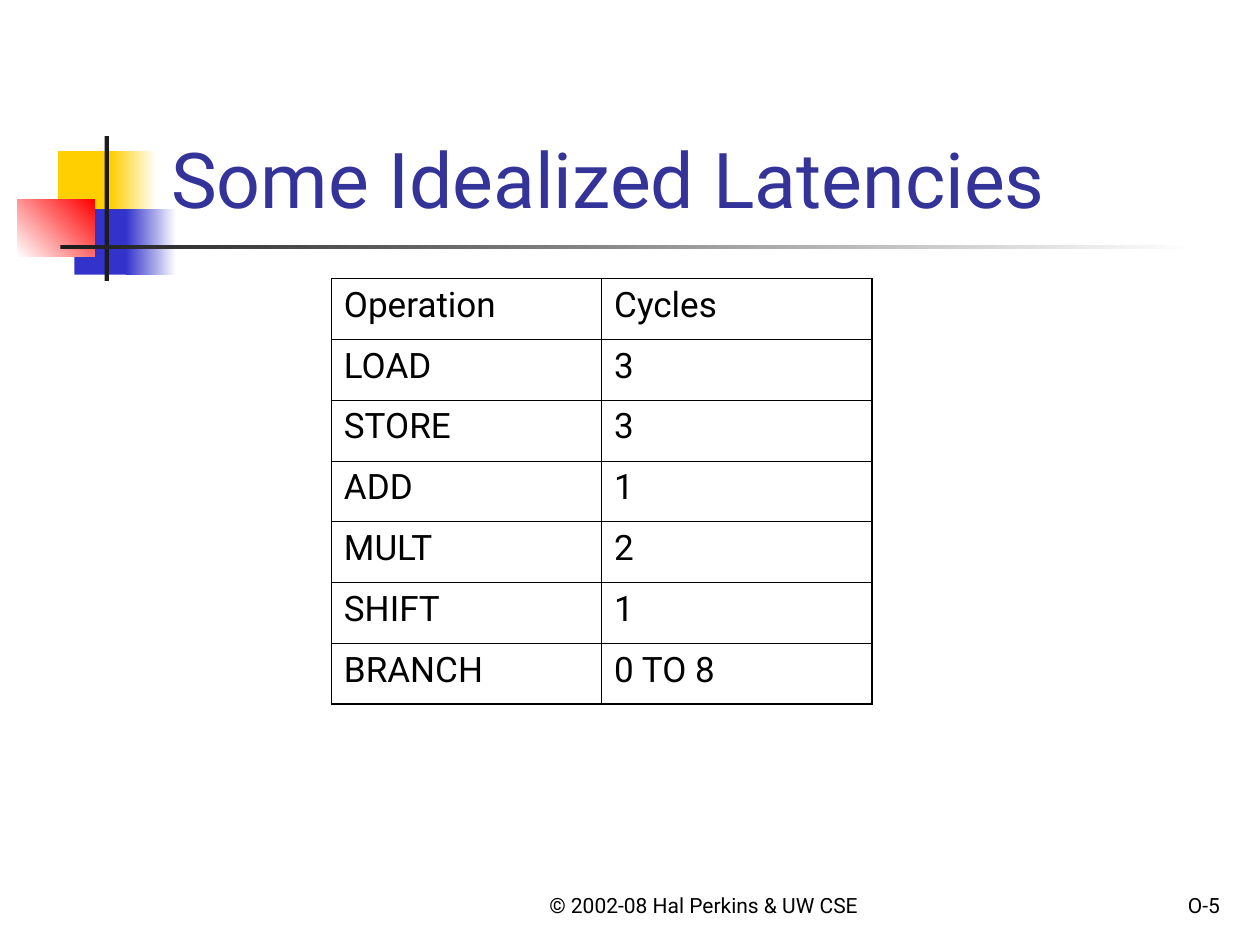
from lxml import etree
from pptx import Presentation
from pptx.dml.color import RGBColor
from pptx.enum.shapes import MSO_SHAPE
from pptx.enum.text import MSO_ANCHOR, MSO_AUTO_SIZE, PP_ALIGN
from pptx.oxml.ns import qn
from pptx.util import Inches, Pt

RECT = MSO_SHAPE.RECTANGLE
BOTTOM, TOP = MSO_ANCHOR.BOTTOM, MSO_ANCHOR.TOP
LEFT, MID, RIGHT = PP_ALIGN.LEFT, PP_ALIGN.CENTER, PP_ALIGN.RIGHT
NO_FIT = MSO_AUTO_SIZE.NONE
WHITE = RGBColor(0xFF, 0xFF, 0xFF)
BLACK = RGBColor(0, 0, 0)
GOLD = RGBColor(0xFF, 0xCF, 0x01)
BLUE = RGBColor(0x33, 0x33, 0xCC)
RED = RGBColor(0xFF, 0, 0)
INK = RGBColor(0x1C, 0x1C, 0x1C)
NAVY = RGBColor(0x33, 0x33, 0x99)
FONT = "Roboto"
COLS, ROWS = 100, 75
WIDE, HIGH = Inches(10), Inches(7.5)
THIN, THICK = Pt(0.45), Pt(1.08)
DECOR = [
    ((4.6, 12, 4.8, 5.2), (GOLD,), 0),
    ((8.8, 12, 3.6, 5.2), (GOLD, WHITE), 0),
    ((5.9, 16.6, 4.6, 5.2), (BLUE,), 0),
    ((10, 16.6, 4, 5.2), (BLUE, WHITE), 0),
    ((1.4, 15.8, 6.1, 4.6), (WHITE, RED), 45),
    ((8.3, 10.8, 0.35, 11.5), (INK,), 0),
    ((4.8, 19.45, 90, 0.35), (INK, WHITE), 0),
]
DATA = [
    ("Operation", "Cycles"),
    ("LOAD", "3"),
    ("STORE", "3"),
    ("ADD", "1"),
    ("MULT", "2"),
    ("SHIFT", "1"),
    ("BRANCH", "0 TO 8"),
]


def grid(left, top, width, height):
    """Turn grid columns and rows into slide lengths."""
    col, row = WIDE / COLS, HIGH / ROWS
    return [round(n) for n in (left * col, top * row, width * col, height * row)]


def write(frame, text, size, color, align=LEFT):
    """Put one formatted run into a text frame."""
    para = frame.paragraphs[0]
    para.alignment = align
    run = para.add_run()
    run.text = text
    run.font.name = FONT
    run.font.size = Pt(size)
    run.font.color.rgb = color


def block(slide, place, tones, angle):
    """Draw a rectangle in one tone or a blend of two."""
    shape = slide.shapes.add_shape(RECT, *grid(*place))
    shape.shadow.inherit = False
    shape.line.fill.background()
    fill = shape.fill
    if len(tones) == 1:
        fill.solid()
        fill.fore_color.rgb = tones[0]
        return
    fill.gradient()
    fill.gradient_angle = angle
    for spot, (stop, tone) in enumerate(zip(fill.gradient_stops, tones)):
        stop.color.rgb = tone
        stop.position = spot


def head(slide, text):
    """Place the title above the decoration."""
    title = slide.shapes.title
    title.left, title.top, title.width, title.height = grid(12.6, 2.3, 85.2, 16)
    frame = title.text_frame
    frame.auto_size = NO_FIT
    frame.word_wrap = True
    frame.vertical_anchor = BOTTOM
    write(frame, text, 44, NAVY)
    slide.shapes._spTree.append(title._element)


def note(slide, place, text, align):
    """Add a small line of text at the foot."""
    frame = slide.shapes.add_textbox(*grid(*place)).text_frame
    frame.word_wrap = True
    frame.vertical_anchor = BOTTOM
    write(frame, text, 12, BLACK, align)


def edge(cell, side, width):
    """Add one black border line to a cell."""
    line = etree.Element(qn(f"a:ln{side}"), w=str(width))
    fill = etree.SubElement(line, qn("a:solidFill"))
    etree.SubElement(fill, qn("a:srgbClr"), val=str(BLACK))
    return line


def frame_cell(cell, outer):
    """Border a cell, thick on the outer sides."""
    props = cell._tc.get_or_add_tcPr()
    for spot, (side, rim) in enumerate(zip("LRTB", outer)):
        props.insert(spot, edge(cell, side, THICK if rim else THIN))


def table(slide, place, data):
    """Build the plain bordered table."""
    last, end = len(data) - 1, len(data[0]) - 1
    sheet = slide.shapes.add_table(last + 1, end + 1, *grid(*place)).table
    sheet.first_row = sheet.horz_banding = False
    for r, row in enumerate(data):
        for c, text in enumerate(row):
            cell = sheet.cell(r, c)
            cell.fill.background()
            cell.vertical_anchor = TOP
            write(cell.text_frame, text, 20, BLACK)
            frame_cell(cell, (c == 0, c == end, r == 0, r == last))


def main():
    """Build and save the slide."""
    deck = Presentation()
    deck.slide_width, deck.slide_height = WIDE, HIGH
    slide = deck.slides.add_slide(deck.slide_layouts[5])
    for place, tones, angle in DECOR:
        block(slide, place, tones, angle)
    note(slide, (40, 68.3, 31.7, 5), "© 2002-08 Hal Perkins & UW CSE", MID)
    note(slide, (77, 68.3, 20.8, 5), "O-5", RIGHT)
    head(slide, "Some Idealized Latencies")
    table(slide, (26.3, 22.1, 42.9, 33.8), DATA)
    deck.save("out.pptx")


if __name__ == "__main__":
    main()
